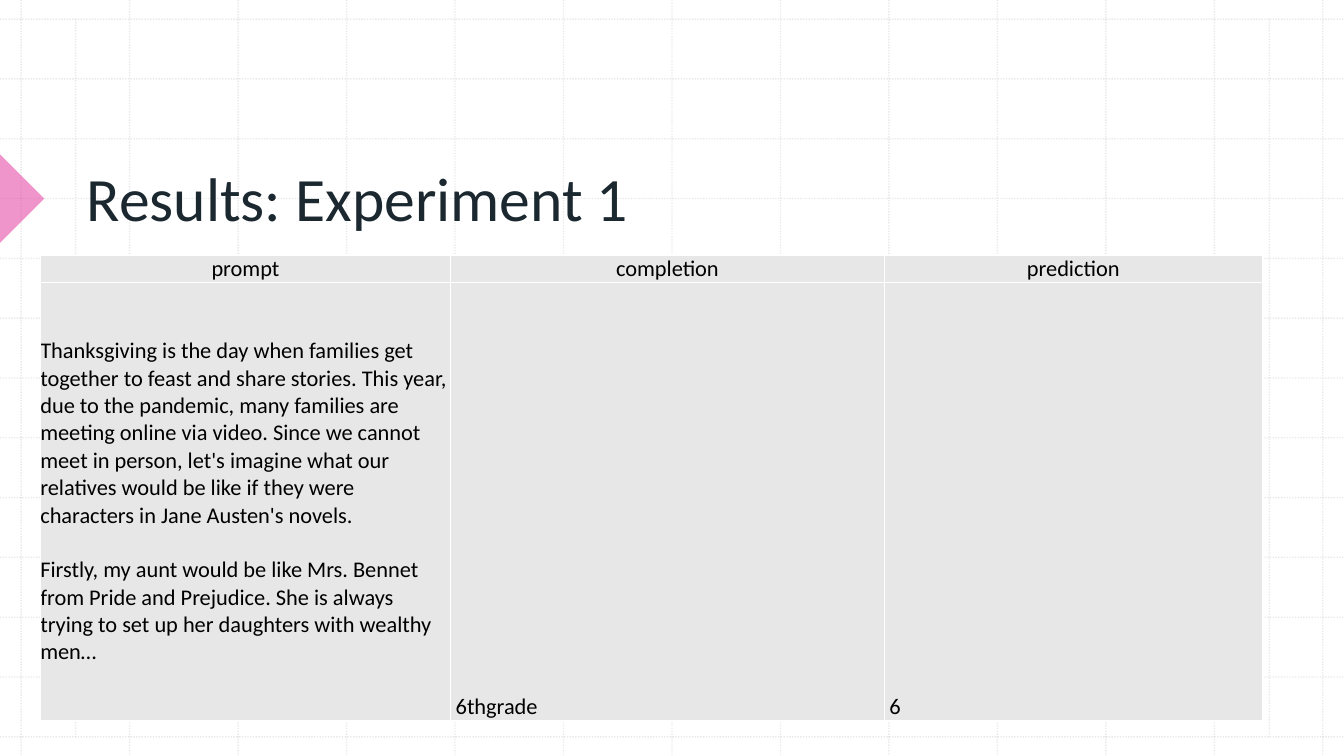
import pptx
import pptx.util
import pptx.dml.color
import pptx.enum.dml
import pptx.enum.shapes
import pptx.enum.text
import pptx.oxml
import pptx.oxml.ns
from lxml import etree

Inches, Pt = pptx.util.Inches, pptx.util.Pt
RGB = pptx.dml.color.RGBColor.from_string
ALIGN, ANCHOR = pptx.enum.text.PP_ALIGN, pptx.enum.text.MSO_ANCHOR
qn = pptx.oxml.ns.qn

COLORS = {"grid": "BCBCBC", "marker": "E32D9B", "title": "1B2830",
          "text": "000000", "cell": "E7E7E7", "border": "FFFFFF"}


def set_alpha(element, percent):
    color = next(element.iter(qn("a:srgbClr")))
    etree.SubElement(color, qn("a:alpha"), val=str(percent * 1000))


def format_run(r, size, color):
    r.font.name = "Calibri"
    r.font.size = Pt(size)
    r.font.bold = False
    r.font.color.rgb = RGB(COLORS[color])


prs = pptx.Presentation()
prs.slide_width, prs.slide_height = Inches(13.33), Inches(7.5)
s = prs.slides.add_slide(prs.slide_layouts[5])

# Background grid: 13 lines each way, plus the two side margins
grid = [(x, 0, x, 7.5) for x in (0.21 + 12.91 / 12 * i for i in range(13))]
grid += [(0, y, 13.33, y) for y in (0.19 + 7.12 / 12 * i for i in range(13))]
grid += [(x, 0.19, x, 7.31) for x in (0.75, 12.59)]
for ends in grid:
    line = s.shapes.add_connector(pptx.enum.shapes.MSO_CONNECTOR.STRAIGHT,
                                  *[Inches(v) for v in ends])
    line.line.color.rgb = RGB(COLORS["grid"])
    line.line.width = Pt(1)
    line.line.dash_style = pptx.enum.dml.MSO_LINE.ROUND_DOT
    set_alpha(line._element.spPr, 30)
    etree.SubElement(line._element.spPr, qn("a:effectLst"))

# Pink marker at the left edge
sp = s.shapes.add_shape(pptx.enum.shapes.MSO_SHAPE.RIGHT_TRIANGLE,
                        Inches(-0.31), Inches(1.66), Inches(0.62), Inches(0.62))
sp.rotation = 225
sp.shadow.inherit = False
sp.fill.solid()
sp.fill.fore_color.rgb = RGB(COLORS["marker"])
set_alpha(sp._element.spPr, 50)
sp.line.fill.background()

# Title, brought in front of the grid
title = s.shapes.title
s.shapes._spTree.append(title._element)
title.left, title.top = Inches(0.76), Inches(0.79)
title.width, title.height = Inches(11.29), Inches(1.58)
tf = title.text_frame
tf.text = "Results: Experiment 1"
tf.vertical_anchor = ANCHOR.BOTTOM
tf.paragraphs[0].alignment = ALIGN.LEFT
format_run(tf.paragraphs[0].runs[0], 44, "title")

# Results table
rows = [
    ["prompt", "completion", "prediction"],
    ["Thanksgiving is the day when families get together to feast and share "
     "stories. This year, due to the pandemic, many families are meeting online "
     "via video. Since we cannot meet in person, let's imagine what our relatives "
     "would be like if they were characters in Jane Austen's novels.\n"
     "Firstly, my aunt would be like Mrs. Bennet from Pride and Prejudice. She is "
     "always trying to set up her daughters with wealthy men…",
     "6thgrade", "6"],
]
widths, heights = [4.07, 4.3, 3.75], [0.27, 4.35]
table = s.shapes.add_table(2, 3, Inches(0.4), Inches(2.53),
                           Inches(sum(widths)), Inches(sum(heights))).table
table.first_row = table.horz_banding = False
for column, width in zip(table.columns, widths):
    column.width = Inches(width)
for row, height in zip(table.rows, heights):
    row.height = Inches(height)

for i, texts in enumerate(rows):
    for j, text in enumerate(texts):
        cell = table.cell(i, j)
        cell.text_frame.text = text
        cell.margin_left = cell.margin_right = 0
        cell.margin_top = cell.margin_bottom = 0
        if i == 1:
            cell.vertical_anchor = ANCHOR.BOTTOM if j else ANCHOR.MIDDLE
            cell.margin_left = Inches(0.05 if j else 0)
        for n, p in enumerate(cell.text_frame.paragraphs):
            p.alignment = ALIGN.LEFT if i else ALIGN.CENTER
            p.space_before = Pt(19.5 if n else 0)
            format_run(p.runs[0], 16, "text")
        # Borders come before the fill in the cell properties
        tcPr = cell._tc.get_or_add_tcPr()
        for side in ("a:lnL", "a:lnR", "a:lnT", "a:lnB"):
            ln = etree.SubElement(tcPr, qn(side), w=str(Pt(1)))
            fill = etree.SubElement(ln, qn("a:solidFill"))
            etree.SubElement(fill, qn("a:srgbClr"), val=COLORS["border"])
        cell.fill.solid()
        cell.fill.fore_color.rgb = RGB(COLORS["cell"])

prs.save("out.pptx")
